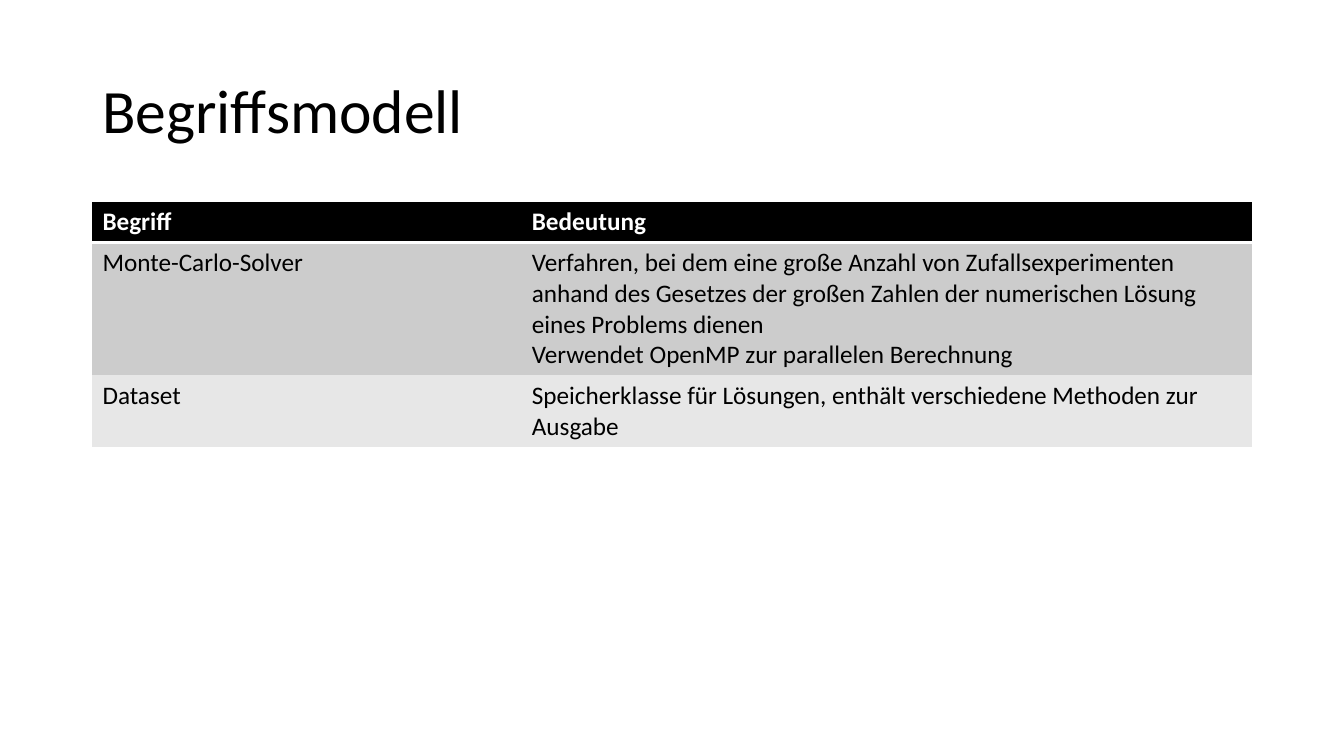
import pptx
import pptx.util
import pptx.dml.color
import pptx.enum.text
import pptx.oxml
import pptx.oxml.ns

Cm, Pt = pptx.util.Cm, pptx.util.Pt

TITLE = "Begriffsmodell"
ROWS = [
    ("Begriff", "Bedeutung"),
    ("Monte-Carlo-Solver",
     "Verfahren, bei dem eine große Anzahl von Zufallsexperimenten anhand des "
     "Gesetzes der großen Zahlen der numerischen Lösung eines Problems dienen\n"
     "Verwendet OpenMP zur parallelen Berechnung"),
    ("Dataset",
     "Speicherklasse für Lösungen, enthält verschiedene Methoden zur Ausgabe"),
]
COLORS = {"black": "000000", "white": "FFFFFF", "dark": "CCCCCC", "light": "E7E7E7"}
FILLS = ["black", "dark", "light"]
WIDTHS = [10.82, 18.39]
HEIGHTS = [1.03, 3.35, 1.81]
LEFT, TOP, WIDE = 2.33, 5.08, sum(WIDTHS)
PLAIN = "{2D5ABB26-0587-4C30-8999-92F81FD0307C}"
HEAD = {"name": "Calibri", "size": Pt(44), "bold": False}
BODY = {"name": "Calibri", "size": Pt(18), "bold": False}


def tint(name):
    return pptx.dml.color.RGBColor.from_string(COLORS[name])


def write(frame, text, style, color):
    frame.text = text
    for para in frame.paragraphs:
        for key, value in style.items():
            setattr(para.runs[0].font, key, value)
        para.runs[0].font.color.rgb = tint(color)


def rule(cell):
    line = pptx.oxml.parse_xml(
        f'<a:lnB {pptx.oxml.ns.nsdecls("a")} w="{Pt(2)}"><a:solidFill>'
        f'<a:srgbClr val="{COLORS["white"]}"/></a:solidFill></a:lnB>')
    cell._tc.get_or_add_tcPr().insert(0, line)


def add_title(slide):
    frame = slide.shapes.add_textbox(Cm(LEFT), Cm(1.01), Cm(WIDE), Cm(3.68)).text_frame
    frame.word_wrap = True
    frame.vertical_anchor = pptx.enum.text.MSO_ANCHOR.MIDDLE
    write(frame, TITLE, HEAD, "black")
    frame.paragraphs[0].line_spacing = 0.9


def add_terms(slide):
    table = slide.shapes.add_table(
        len(ROWS), len(WIDTHS), Cm(LEFT), Cm(TOP), Cm(WIDE), Cm(sum(HEIGHTS))).table
    table._tbl.tblPr.find(pptx.oxml.ns.qn("a:tableStyleId")).text = PLAIN
    table.horz_banding = False
    for col, width in zip(table.columns, WIDTHS):
        col.width = Cm(width)
    for r, texts in enumerate(ROWS):
        table.rows[r].height = Cm(HEIGHTS[r])
        top = r == 0
        for c, text in enumerate(texts):
            cell = table.cell(r, c)
            write(cell.text_frame, text, {**BODY, "bold": top},
                  "white" if top else "black")
            cell.fill.solid()
            cell.fill.fore_color.rgb = tint(FILLS[r])
            if top:
                rule(cell)


def main():
    deck = pptx.Presentation()
    deck.slide_width, deck.slide_height = Cm(33.87), Cm(19.05)
    slide = deck.slides.add_slide(deck.slide_layouts[6])
    add_title(slide)
    add_terms(slide)
    deck.save("out.pptx")


if __name__ == "__main__":
    main()
